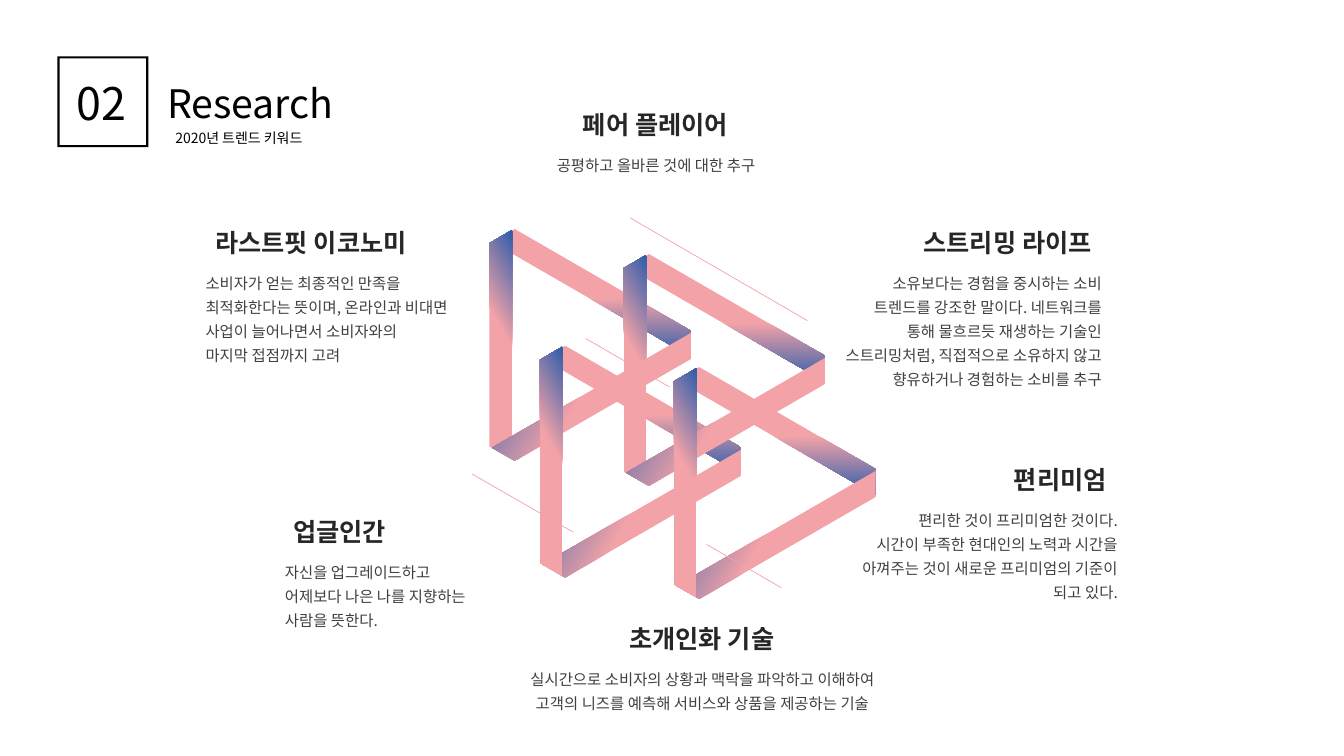
from lxml import etree
from pptx import Presentation
from pptx.dml.color import RGBColor
from pptx.enum.shapes import MSO_CONNECTOR, MSO_SHAPE
from pptx.enum.text import MSO_ANCHOR, MSO_AUTO_SIZE, PP_ALIGN
from pptx.oxml.ns import qn
from pptx.util import Cm, Pt

STRAIGHT = MSO_CONNECTOR.STRAIGHT
FRAME = MSO_SHAPE.FRAME
TOP = MSO_ANCHOR.TOP
GROW = MSO_AUTO_SIZE.SHAPE_TO_FIT_TEXT
LEFT, CENTER, RIGHT = PP_ALIGN.LEFT, PP_ALIGN.CENTER, PP_ALIGN.RIGHT

BLACK = RGBColor(0x00, 0x00, 0x00)
CHARCOAL = RGBColor(0x26, 0x26, 0x26)
GRAY = RGBColor(0x40, 0x40, 0x40)
PINK = RGBColor(0xF3, 0xA3, 0xA8)
BLUE = RGBColor(0x2E, 0x5D, 0xAA)

FONT = "Noto Sans CJK KR"
HEADING_FORMAT = {"size": Pt(18), "bold": True}
BODY_FORMAT = {"size": Pt(11)}
FRAME_FORMAT = {"word_wrap": True, "auto_size": GROW, "vertical_anchor": TOP}
HEADING_RISE = 1.04

KEYWORDS = [
    ("라스트핏 이코노미", LEFT, 5.18, 5.89,
     ["소비자가 얻는 최종적인 만족을 최적화한다는 뜻이며, 온라인과 비대면 사업이 늘어나면서 소비자와의",
      "마지막 접점까지 고려"], LEFT, (4.93, 6.65, 6.88, 2.67)),
    ("업글인간", LEFT, 7.14, 5.31,
     ["자신을 업그레이드하고 어제보다 나은 나를 지향하는 사람을 뜻한다."],
     LEFT, (6.93, 13.92, 5.31, 2.03)),
    ("스트리밍 라이프", RIGHT, 22.45, 5.31,
     ["소유보다는 경험을 중시하는 소비 트렌드를 강조한 말이다. 네트워크를 통해 물흐르듯 재생하는 기술인 "
      "스트리밍처럼, 직접적으로 소유하지 않고 향유하거나 경험하는 소비를 추구"],
     RIGHT, (21.03, 6.65, 6.99, 3.28)),
    ("편리미엄", RIGHT, 22.83, 5.31,
     ["편리한 것이 프리미엄한 것이다.",
      "시간이 부족한 현대인의 노력과 시간을 아껴주는 것이 새로운 프리미엄의 기준이 되고 있다."],
     RIGHT, (20.9, 12.62, 7.52, 2.67)),
    ("초개인화 기술", RIGHT, 14.45, 5.31,
     ["실시간으로 소비자의 상황과 맥락을 파악하고 이해하여 고객의 니즈를 예측해 서비스와 상품을 제공하는 기술"],
     CENTER, (13.11, 16.61, 9.19, 1.42)),
    ("페어 플레이어", RIGHT, 13.28, 5.31,
     ["공평하고 올바른 것에 대한 추구"], CENTER, (11.94, 3.66, 9.19, 0.81)),
]

RIBBON_LENGTH, RIBBON_WIDTH, RIBBON_BEVEL = 5.79, 0.57, 0.33
SIDES = {"upper": (2.43, -1.39, 30), "lower": (2.43, 1.39, 150), "upright": (0, 0, 270)}
TRIANGLES = {
    "back left": (12.62, 8.69),
    "back right": (16.0, 9.32),
    "front left": (13.89, 11.63),
    "front right": (17.27, 12.17),
}
RIBBONS = [
    ("front right", "upper"), ("front right", "lower"),
    ("front left", "upper"), ("back right", "upper"), ("back left", "upper"),
    ("back right", "upright"), ("back right", "lower"),
    ("back left", "upright"), ("back left", "lower"),
    ("front right", "upright"), ("front left", "lower"), ("front left", "upright"),
]
ACCENT_LINES = [
    (11.89, 11.94, 14.45, 13.41),
    (15.88, 5.49, 20.35, 8.08),
    (17.81, 13.72, 19.69, 14.81),
    (14.76, 8.53, 16.87, 9.75),
]


def set_format(target, values):
    for attribute, value in values.items():
        setattr(target, attribute, value)


def write_text(shape, lines, font_format, color, align=LEFT, spacing=1.0):
    frame = shape.text_frame
    set_format(frame, FRAME_FORMAT)
    for index, line in enumerate(lines):
        paragraph = frame.add_paragraph() if index else frame.paragraphs[0]
        set_format(paragraph, {"alignment": align, "line_spacing": spacing})
        run = paragraph.add_run()
        run.text = line
        set_format(run.font, {"name": FONT, **font_format})
        run.font.color.rgb = color
        etree.SubElement(run.font._element, qn("a:ea"), typeface=FONT)


def add_text(slide, box, lines, font_format, color, align=LEFT, spacing=1.0):
    shape = slide.shapes.add_textbox(*map(Cm, box))
    write_text(shape, lines, font_format, color, align, spacing)


def add_keyword(slide, heading, heading_align, heading_left, heading_width,
                body, body_align, body_box):
    heading_box = (heading_left, body_box[1] - HEADING_RISE, heading_width, 1.02)
    add_text(slide, body_box, body, BODY_FORMAT, GRAY, body_align, 1.3)
    add_text(slide, heading_box, [heading], HEADING_FORMAT, CHARCOAL, heading_align)


def add_ribbon(slide, triangle, side):
    center_x, center_y = TRIANGLES[triangle]
    shift_x, shift_y, angle = SIDES[side]
    left = center_x + shift_x - RIBBON_LENGTH / 2
    top = center_y + shift_y - RIBBON_WIDTH / 2
    right, bottom = left + RIBBON_LENGTH, top + RIBBON_WIDTH
    builder = slide.shapes.build_freeform(Cm(left + RIBBON_BEVEL), Cm(top))
    corners = [(right - RIBBON_BEVEL, top), (right, bottom), (left, bottom)]
    builder.add_line_segments([(Cm(x), Cm(y)) for x, y in corners], close=True)
    ribbon = builder.convert_to_shape()
    ribbon.rotation = angle
    ribbon.shadow.inherit = False
    ribbon.line.fill.background()
    ribbon.fill.gradient()
    ribbon.fill.gradient_angle = 300
    for stop, position, color in zip(ribbon.fill.gradient_stops, (0.56, 1.0), (PINK, BLUE)):
        stop.position = position
        stop.color.rgb = color


def add_accent_line(slide, ends):
    accent = slide.shapes.add_connector(STRAIGHT, *map(Cm, ends))
    accent.line.color.rgb = PINK
    accent.line.width = Pt(0.5)
    etree.SubElement(accent._element.spPr, qn("a:effectLst"))


def add_header(slide):
    border = slide.shapes.add_shape(FRAME, Cm(1.45), Cm(1.42), Cm(2.29), Cm(2.29))
    border.adjustments[0] = 0.024
    border.shadow.inherit = False
    border.fill.solid()
    border.fill.fore_color.rgb = BLACK
    border.line.fill.background()
    add_text(slide, (1.68, 1.78, 2.06, 1.63), ["02"], {"size": Pt(32)}, BLACK)
    title = slide.shapes.title
    set_format(title, {"left": Cm(3.96), "top": Cm(1.88), "width": Cm(9.83), "height": Cm(1.45)})
    write_text(title, ["Research"], {"size": Pt(28)}, BLACK)
    add_text(slide, (4.17, 3.15, 26.29, 0.69), ["2020년 트렌드 키워드"], {"size": Pt(10)}, BLACK)


def main():
    presentation = Presentation()
    set_format(presentation, {"slide_width": Cm(33.87), "slide_height": Cm(19.05)})
    slide = presentation.slides.add_slide(presentation.slide_layouts[5])
    add_accent_line(slide, ACCENT_LINES[0])
    for triangle, side in RIBBONS:
        add_ribbon(slide, triangle, side)
    for ends in ACCENT_LINES[1:]:
        add_accent_line(slide, ends)
    add_header(slide)
    for keyword in KEYWORDS:
        add_keyword(slide, *keyword)
    presentation.save("out.pptx")


if __name__ == "__main__":
    main()
